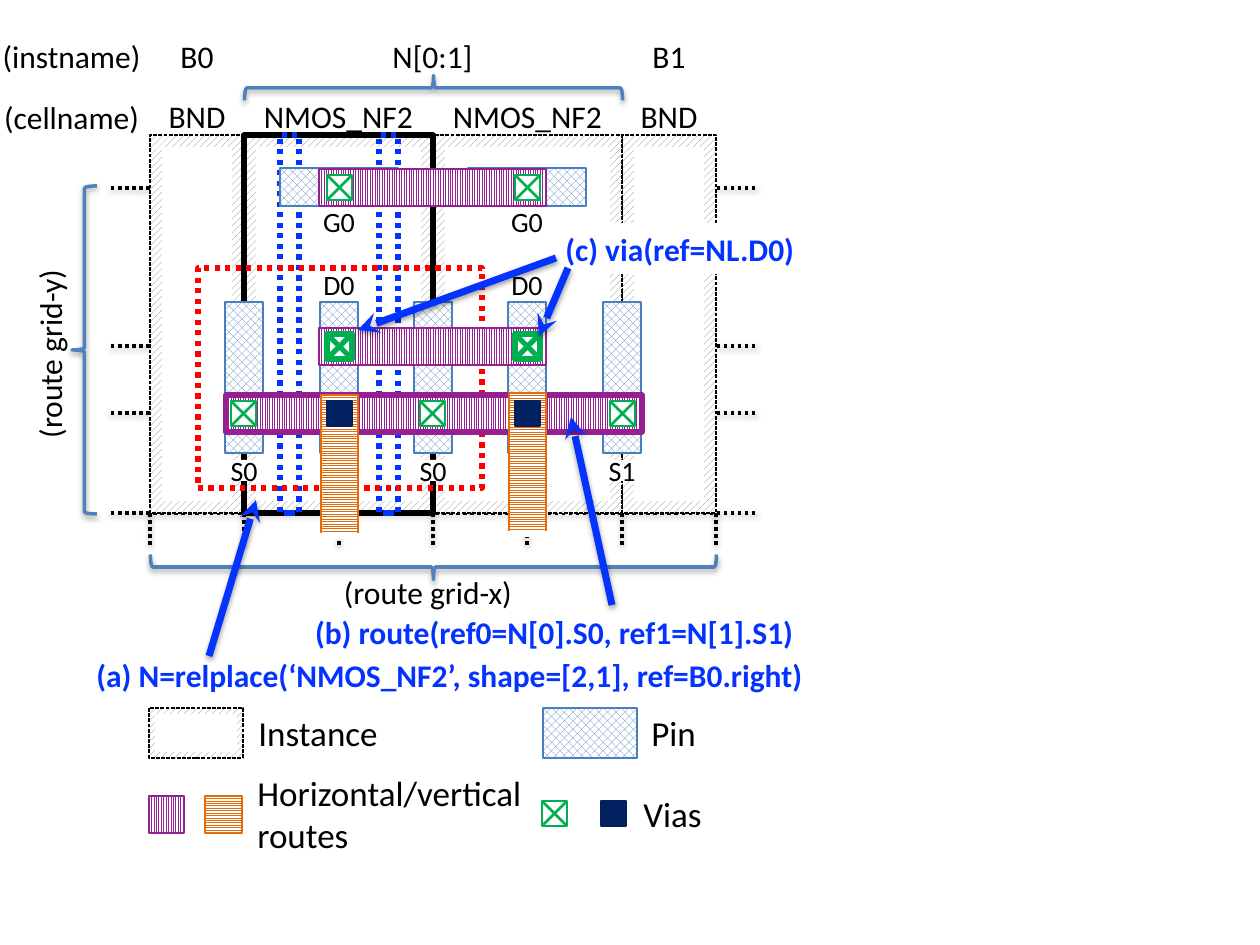
from lxml import etree
from pptx import Presentation
from pptx.dml.color import RGBColor
from pptx.enum.dml import MSO_LINE, MSO_PATTERN
from pptx.enum.shapes import MSO_CONNECTOR, MSO_SHAPE
from pptx.enum.text import MSO_ANCHOR, PP_ALIGN
from pptx.oxml.ns import qn
from pptx.util import Emu, Pt

RECT, BRACE = MSO_SHAPE.RECTANGLE, MSO_SHAPE.LEFT_BRACE
STRAIGHT = MSO_CONNECTOR.STRAIGHT
DOT, DASH = MSO_LINE.ROUND_DOT, MSO_LINE.SQUARE_DOT
LEFT, CENTER, RIGHT = PP_ALIGN.LEFT, PP_ALIGN.CENTER, PP_ALIGN.RIGHT
MIDDLE = MSO_ANCHOR.MIDDLE
PX = 914400 / 126

THEME = {
    "font": "Calibri", "label": 18, "pin_label": 16, "legend": 20,
    "black": "000000", "white": "FFFFFF", "gray": "808080",
    "blue": "0432FF", "red": "FF0000", "brace": "4F81BD",
    "pin": "4F81BD", "pin_edge": "4B7EBC", "purple": "942092",
    "orange": "E46C0A", "green": "00B050", "navy": "002060",
}
BLACK, WHITE, BLUE = THEME["black"], THEME["white"], THEME["blue"]
LABEL, PIN_LABEL, LEGEND = THEME["label"], THEME["pin_label"], THEME["legend"]
HATCH = (MSO_PATTERN.WIDE_UPWARD_DIAGONAL, THEME["gray"])
PIN = (MSO_PATTERN.PERCENT_50, THEME["pin"])
H_ROUTE = (MSO_PATTERN.LIGHT_VERTICAL, THEME["purple"])
V_ROUTE = (MSO_PATTERN.LIGHT_HORIZONTAL, THEME["orange"])
EDGE = (BLACK, 0.75, DASH)
CELL_EDGE = (BLACK, 3, None)
PIN_EDGE = (THEME["pin_edge"], 0.75, None)
H_EDGE = (THEME["purple"], 1.5, None)
V_EDGE = (THEME["orange"], 1.5, None)
NAVY_EDGE = (THEME["navy"], 1.5, None)
BRACE_EDGE = (THEME["brace"], 2, None)
GRID = (BLACK, 2, DOT)

prs = Presentation()
prs.slide_width, prs.slide_height = Emu(round(1260 * PX)), Emu(round(945 * PX))
s = prs.slides.add_slide(prs.slide_layouts[6])


def box(x, y, w, h, fill=None, line=None, text="", size=LABEL, align=CENTER,
        color=BLACK, bold=False, shape=RECT, rotation=0):
    pos = [Emu(round(v * PX)) for v in (x, y, w, h)]
    if text and fill is None:
        sp = s.shapes.add_textbox(*pos)
    else:
        sp = s.shapes.add_shape(shape, *pos)
    sp.rotation = rotation
    if fill is None:
        sp.fill.background()
    elif isinstance(fill, tuple):
        sp.fill.patterned()
        sp.fill.pattern = fill[0]
        sp.fill.fore_color.rgb = RGBColor.from_string(fill[1])
        sp.fill.back_color.rgb = RGBColor.from_string(WHITE)
    else:
        sp.fill.solid()
        sp.fill.fore_color.rgb = RGBColor.from_string(fill)
    if line:
        sp.line.color.rgb = RGBColor.from_string(line[0])
        sp.line.width = Pt(line[1])
        sp.line.dash_style = line[2]
    else:
        sp.line.fill.background()
    if shape != BRACE:
        sp.shadow.inherit = False
    if text:
        tf = sp.text_frame
        tf.word_wrap = True
        tf.vertical_anchor = MIDDLE
        tf.margin_top = tf.margin_bottom = 0
        if align == CENTER:
            tf.margin_left = tf.margin_right = 0
        tf.text = text
        p = tf.paragraphs[0]
        p.alignment = align
        f = p.runs[0].font
        f.name, f.size, f.bold = THEME["font"], Pt(size), bold
        f.color.rgb = RGBColor.from_string(color)


def link(x1, y1, x2, y2, line, arrow=False, shadow=True):
    c = s.shapes.add_connector(STRAIGHT, *[Emu(round(v * PX)) for v in (x1, y1, x2, y2)])
    c.line.color.rgb = RGBColor.from_string(line[0])
    c.line.width = Pt(line[1])
    c.line.dash_style = line[2]
    if arrow:
        etree.SubElement(c.line._get_or_add_ln(), qn("a:tailEnd"), type="stealth")
    if not shadow:
        etree.SubElement(c._element.spPr, qn("a:effectLst"))


cols = [150 + round(i * 566 / 6) for i in range(7)]
top, height = 135, 378
bottom = top + height

for y in (bottom, 413, 346, 188):
    link(111, y, 756, y, GRID)

for left, right, name, edge in ((0, 1, "BND", EDGE), (5, 6, "BND", EDGE),
                                (3, 5, "NMOS_NF2", EDGE), (1, 3, "NMOS_NF2", CELL_EDGE)):
    x, w = cols[left], cols[right] - cols[left]
    box(x, top, w, height, HATCH, edge)
    box(x + 12, top + 12, w - 24, height - 24, WHITE)
    box(x, 97, w, 38, text=name)
    if name == "BND":
        continue
    mid = cols[left + 1]
    if left == 1:
        for gate in (280, 379):
            box(gate, top, 19, height, line=(BLUE, 3, DOT))
    box(mid - 19, 302, 38, 151, PIN, PIN_EDGE)
    if left == 1:
        box(198, 268, 284, 220, line=(THEME["red"], 3, DOT))
    for source in (cols[left], cols[right]):
        box(source - 19, 302, 38, 151, PIN, PIN_EDGE)
    box(mid - 59, 168, 118, 38, PIN, PIN_EDGE)
    box(mid - 59, 209, 118, 25, text="G0", size=PIN_LABEL)
    box(mid - 30, 274, 60, 21, WHITE, text="D0", size=PIN_LABEL)
    for col, pin in ((1, "S0"), (3, "S0")) if left == 1 else ((5, "S1"),):
        box(cols[col] - 27, 460, 54, 21, WHITE, text=pin, size=PIN_LABEL)

box(226, 395, 416, 37, H_ROUTE, (THEME["purple"], 3, None))
for y in (169, 328):
    box(319, y, 227, 37, H_ROUTE, H_EDGE)

for x, y, w, text in ((338, 37, 189, "N[0:1]"), (621, 37, 96, "B1"), (149, 37, 96, "B0"),
                      (-13, 37, 169, "(instname)"), (-13, 98, 169, "(cellname)")):
    box(x, y, w, 38, text=text)

for x in cols:
    link(x, bottom, x, 547, GRID)

for x, y, h, rotation in ((421, -101, 378, 90), (72, 186, 328, 0), (421, 284, 566, 270)):
    box(x, y, 25, h, line=BRACE_EDGE, shape=BRACE, rotation=rotation)
box(-59, 335, 217, 38, text="(route grid-y)", rotation=270)
box(307, 570, 242, 44, text="(route grid-x)")

for x, y, w, fill, align, text in (
        (84, 649, 735, None, LEFT, "(a) N=relplace(‘NMOS_NF2’, shape=[2,1], ref=B0.right)"),
        (255, 606, 551, None, RIGHT, "(b) route(ref0=N[0].S0, ref1=N[1].S1)"),
        (553, 223, 256, WHITE, LEFT, "(c) via(ref=NL.D0)")):
    box(x, y, w, 51, fill, text=text, align=align, color=BLUE, bold=True)

for x, y in ((509, 393), (321, 395)):
    box(x, y, 37, 140, V_ROUTE, V_EDGE)
    box(x - 6, y + 138, 48, 6, WHITE)

box(149, 708, 94, 50, HATCH, EDGE)
box(155, 714, 82, 38, WHITE)
box(543, 708, 94, 50, PIN, PIN_EDGE)
box(149, 796, 35, 37, H_ROUTE, H_EDGE)
box(205, 796, 37, 37, V_ROUTE, V_EDGE)
for x, y, w, text in ((246, 714, 484, "Instance"), (639, 714, 72, "Pin"),
                      (245, 795, 312, "Horizontal/vertical routes"), (631, 795, 89, "Vias")):
    box(x, y, w, 38, text=text, size=LEGEND, align=LEFT)

for x, y, width in ((515, 175, 1.5), (327, 175, 1.5), (610, 401, 1.5), (420, 401, 1.5),
                    (231, 401, 1.5), (515, 334, 3), (327, 334, 3), (542, 801, 1.5)):
    edge = (THEME["green"], width, None)
    box(x, y, 25, 25, WHITE, edge)
    link(x, y, x + 25, y + 25, edge, shadow=False)
    link(x + 25, y, x, y + 25, edge, shadow=False)
for x, y in ((515, 401), (327, 401), (601, 801)):
    box(x, y, 25, 25, THEME["navy"], NAVY_EDGE)

for ends in ((209, 656, 256, 500), (612, 605, 571, 417),
             (568, 268, 539, 336), (556, 258, 358, 330)):
    link(*ends, (BLUE, 4, None), arrow=True)

prs.save("out.pptx")
